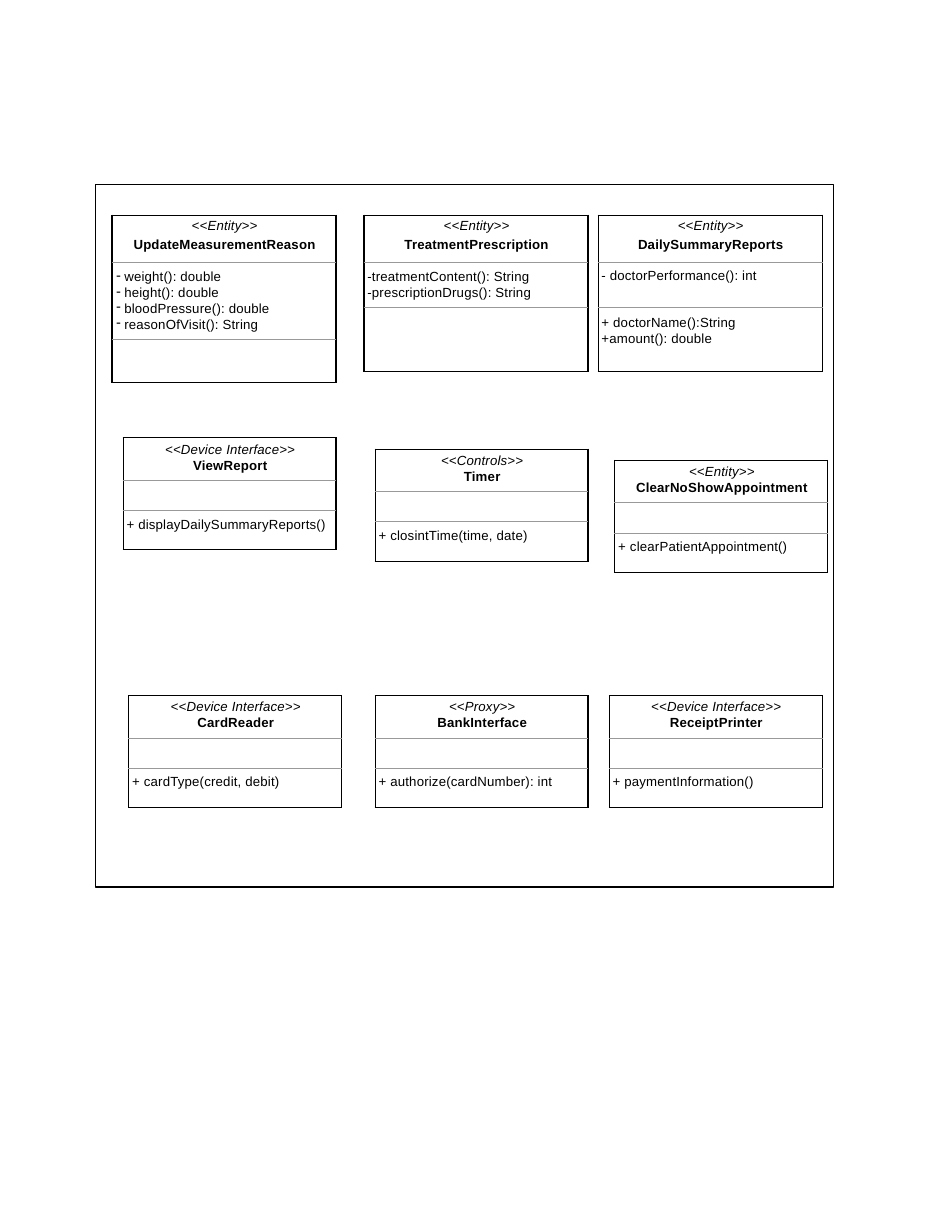
from lxml import etree
from pptx import Presentation
from pptx.dml.color import RGBColor
from pptx.enum.shapes import MSO_SHAPE
from pptx.enum.text import PP_ALIGN
from pptx.oxml.ns import qn
from pptx.util import Pt

RECTANGLE = MSO_SHAPE.RECTANGLE
CENTER, LEFT = PP_ALIGN.CENTER, PP_ALIGN.LEFT
COLORS = {"ink": "000000", "divider": "999999", "tick": "EDEDED"}
FONT, FONT_SIZE, LEADING = "Arial", 8.5, 10.2

LARGE_ROWS = (30.24, 29.52, 41.04)
MEASUREMENT_ROWS = (30.24, 49.68, 28.08)
SMALL_ROWS = (27.36, 19.44, 25.2)
LARGE_WIDTH, SMALL_WIDTH = 144, 136.8

LARGE_CLASSES = [
    (72, MEASUREMENT_ROWS, "Entity", "UpdateMeasurementReason",
     ["weight(): double", "height(): double", "bloodPressure(): double", "reasonOfVisit(): String"], [], "-"),
    (234, LARGE_ROWS, "Entity", "TreatmentPrescription",
     ["-treatmentContent(): String", "-prescriptionDrugs(): String"], [], None),
    (384.48, LARGE_ROWS, "Entity", "DailySummaryReports",
     ["- doctorPerformance(): int"], ["+ doctorName():String", "+amount(): double"], None),
]
SMALL_CLASSES = [
    (79.2, 281.52, "Device Interface", "ViewReport", "+ displayDailySummaryReports()"),
    (241.2, 288.72, "Controls", "Timer", "+ closintTime(time, date)"),
    (395.28, 295.92, "Entity", "ClearNoShowAppointment", "+ clearPatientAppointment()"),
    (82.8, 447.12, "Device Interface", "CardReader", "+ cardType(credit, debit)"),
    (241.2, 447.12, "Proxy", "BankInterface", "+ authorize(cardNumber): int"),
    (391.68, 447.12, "Device Interface", "ReceiptPrinter", "+ paymentInformation()"),
]


def write_text(paragraph, text, bold=False, italic=False, align=LEFT, before=0,
               leading=None, margin=2.16, bullet=None):
    paragraph.alignment = align
    paragraph.space_before = Pt(before)
    if leading:
        paragraph.line_spacing = Pt(leading)
    properties = paragraph._p.get_or_add_pPr()
    properties.set("marL", str(Pt(margin)))
    properties.set("indent", "0")
    if bullet:
        properties.set("marL", str(Pt(7.92)))
        properties.set("indent", str(Pt(-5.04)))
        etree.SubElement(properties, qn("a:buChar"), char=bullet)
    run = paragraph.add_run()
    run.text = text
    font = run.font
    font.name, font.size, font.bold, font.italic = FONT, Pt(FONT_SIZE), bold, italic
    font.color.rgb = RGBColor.from_string(COLORS["ink"])
    run._r.get_or_add_rPr().set("spc", "10")


class ClassDiagram:
    def __init__(self, slide):
        self.slide = slide

    def frame(self, left, top, width, height):
        shape = self.slide.shapes.add_shape(RECTANGLE, Pt(left), Pt(top), Pt(width), Pt(height))
        shape.shadow.inherit = False
        shape.fill.background()
        shape.line.color.rgb = RGBColor.from_string(COLORS["ink"])
        shape.line.width = Pt(0.72)

    def tick(self, left, top):
        builder = self.slide.shapes.build_freeform(Pt(left + 0.5), Pt(top + 0.5))
        builder.add_line_segments([(Pt(left), Pt(top + 0.5)), (Pt(left + 0.5), Pt(top))])
        shape = builder.convert_to_shape()
        shape.shadow.inherit = False
        shape.fill.solid()
        shape.fill.fore_color.rgb = RGBColor.from_string(COLORS["tick"])
        shape.line.fill.background()

    def borders(self, cell, top, bottom):
        properties = cell._tc.get_or_add_tcPr()
        for side, color in (("L", "ink"), ("R", "ink"), ("T", top), ("B", bottom)):
            line = etree.SubElement(properties, qn(f"a:ln{side}"), w=str(Pt(0.75)))
            fill = etree.SubElement(line, qn("a:solidFill"))
            etree.SubElement(fill, qn("a:srgbClr"), val=COLORS[color])
        cell.fill.background()

    def lines(self, cell, lines, top_margin):
        cell.margin_left = cell.margin_right = cell.margin_bottom = 0
        cell.margin_top = Pt(top_margin if lines else 0)
        frame = cell.text_frame
        if not lines:
            etree.SubElement(frame.paragraphs[0]._p, qn("a:endParaRPr"), sz=str(int(FONT_SIZE * 100)))
        for index, (text, style) in enumerate(lines):
            paragraph = frame.add_paragraph() if index else frame.paragraphs[0]
            write_text(paragraph, text, **style)

    def members(self, cell, texts, bullet=None):
        leading = LEADING if len(texts) > 1 else None
        self.lines(cell, [(text, {"before": 0 if index else 4, "leading": leading, "bullet": bullet})
                          for index, text in enumerate(texts)], 4.32)

    def class_box(self, left, top, width, heights, stereotype, name, attributes, operations,
                  bullet=None, name_gap=0, leading=None):
        for divider in (heights[0], heights[0] + heights[1]):
            self.tick(left + width + 0.36, top + divider)
        table = self.slide.shapes.add_table(
            3, 1, Pt(left), Pt(top), Pt(width), Pt(sum(heights))).table
        table.first_row = table.horz_banding = False
        table.columns[0].width = Pt(width)
        for row, height in zip(table.rows, heights):
            row.height = Pt(height)
        header, body, footer = [table.cell(row, 0) for row in range(3)]
        heading = {"align": CENTER, "leading": leading, "margin": 0.72}
        self.lines(header, [(f"<<{stereotype}>>", {**heading, "italic": True, "before": 1.9}),
                            (name, {**heading, "bold": True, "before": name_gap})], 2.16)
        self.members(body, attributes, bullet)
        self.members(footer, operations)
        self.borders(header, "ink", "divider")
        self.borders(body, "divider", "divider")
        self.borders(footer, "divider", "ink")


def main():
    presentation = Presentation()
    presentation.slide_width, presentation.slide_height = Pt(612), Pt(792)
    diagram = ClassDiagram(presentation.slides.add_slide(presentation.slide_layouts[6]))
    diagram.frame(61.2, 118.8, 474.48, 451.44)
    for left, heights, stereotype, name, attributes, operations, bullet in LARGE_CLASSES:
        diagram.class_box(left, 138.24, LARGE_WIDTH, heights, stereotype, name,
                          attributes, operations, bullet, name_gap=2.8)
    for left, top, stereotype, name, operation in SMALL_CLASSES:
        diagram.class_box(left, top, SMALL_WIDTH, SMALL_ROWS, stereotype, name,
                          [], [operation], leading=LEADING)
    presentation.save("out.pptx")


if __name__ == "__main__":
    main()
